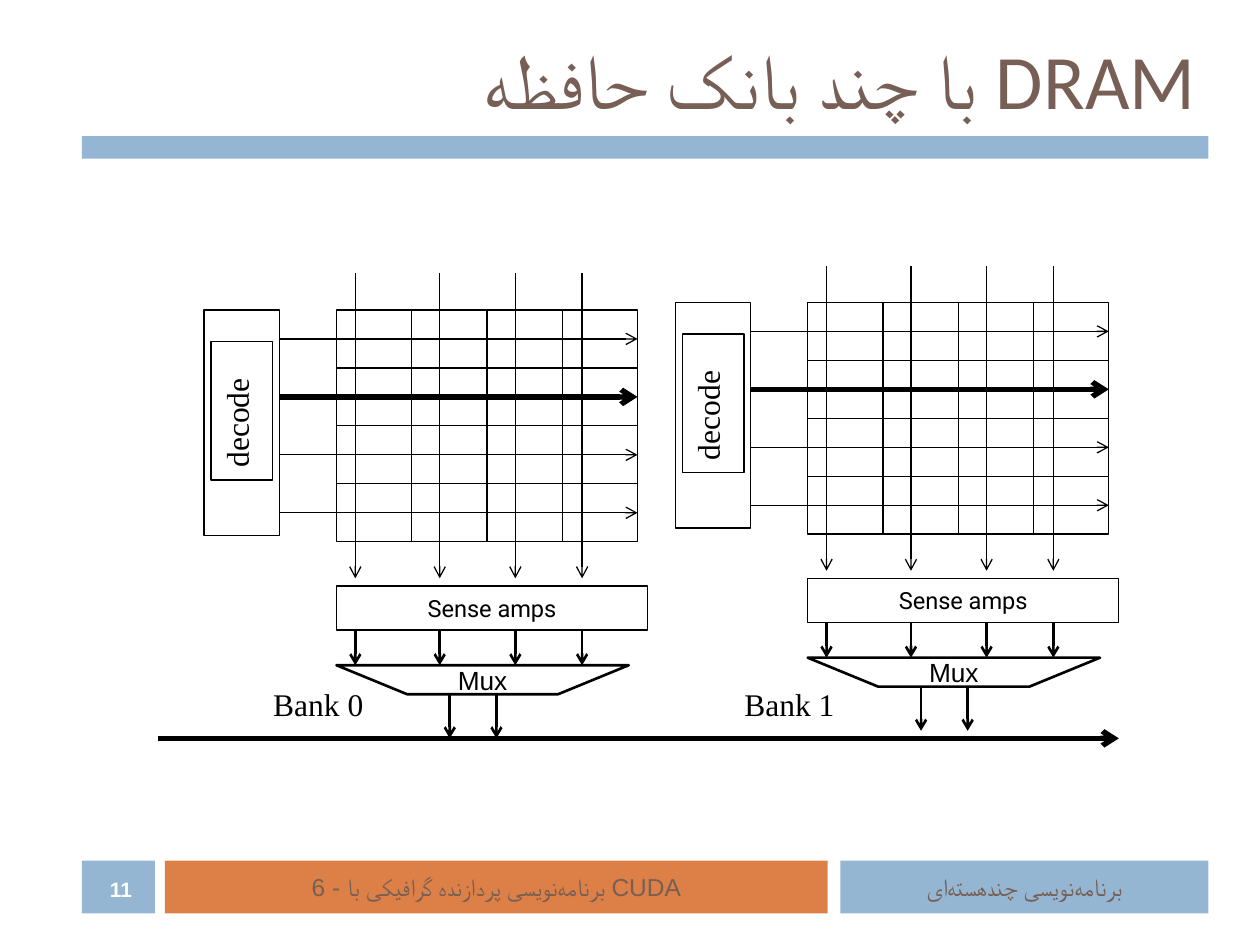
import pptx
import pptx.dml.color
import pptx.enum.shapes
import pptx.enum.text
import pptx.oxml
import pptx.oxml.ns
import pptx.util

Inches = pptx.util.Inches
Align = pptx.enum.text.PP_ALIGN
Anchor = pptx.enum.text.MSO_ANCHOR

BLACK, WHITE = "000000", "FFFFFF"
BLUE, ORANGE, BROWN = "94B6D2", "DD8047", "775F55"
NON_JOINER = chr(0x200C)
PROGRAMMING = NON_JOINER.join(["برنامه", "نویسی"])
MULTICORE = NON_JOINER.join(["چند", "هسته", "ای"])
ROWS, COLUMNS = 4, 4
SELECTED_ROW = 1
GRID_LEFT, GRID_TOP = 1.05, 0.29
GRID_WIDTH, ROW_HEIGHT = 2.39, 0.46
DECODER_WIDTH = 0.6
BIT_LINES = (1.2, 1.87, 2.47, 3.0)
OUTPUT_LINES = (1.95, 2.32)
SENSE_TOP, SENSE_HEIGHT = 2.48, 0.35
MUX_TOP, MUX_BOTTOM = 3.11, 3.34


def paint(color_format, color):
    color_format.rgb = pptx.dml.color.RGBColor.from_string(color)


def write(shape, text, size, font, color, align=Align.LEFT,
          anchor=Anchor.TOP, rtl=False, bold=False):
    frame = shape.text_frame
    frame.text = text
    frame.auto_size = pptx.enum.text.MSO_AUTO_SIZE.NONE
    frame.word_wrap = True
    frame.vertical_anchor = anchor
    if anchor == Anchor.MIDDLE:
        frame.margin_top = frame.margin_bottom = 0
    para = frame.paragraphs[0]
    para.alignment = align
    if rtl:
        para._p.get_or_add_pPr().set("rtl", "1")
    span = para.runs[0]
    span.font.size = pptx.util.Pt(size)
    span.font.name = font
    span.font.bold = bold
    paint(span.font.color, color)


def outline(shape, weight):
    shape.shadow.inherit = False
    shape.fill.background()
    paint(shape.line.color, BLACK)
    shape.line.width = pptx.util.Pt(weight)


def add_rectangle(page, left, top, width, height, fill=None):
    box = page.shapes.add_shape(
        pptx.enum.shapes.MSO_SHAPE.RECTANGLE,
        Inches(left), Inches(top), Inches(width), Inches(height))
    if fill:
        box.shadow.inherit = False
        box.fill.solid()
        paint(box.fill.fore_color, fill)
        box.line.fill.background()
    else:
        outline(box, 0.75)
    return box


def add_label(page, left, top, width, height, *text, **style):
    label = page.shapes.add_textbox(
        Inches(left), Inches(top), Inches(width), Inches(height))
    write(label, *text, **style)


def add_arrow(page, start_x, start_y, end_x, end_y, weight):
    arrow = page.shapes.add_connector(
        pptx.enum.shapes.MSO_CONNECTOR.STRAIGHT,
        Inches(start_x), Inches(start_y), Inches(end_x), Inches(end_y))
    paint(arrow.line.color, BLACK)
    arrow.line.width = pptx.util.Pt(weight)
    properties = arrow._element.spPr
    head = pptx.oxml.parse_xml(
        f'<a:tailEnd {pptx.oxml.ns.nsdecls("a")} type="arrow"/>')
    properties.find(pptx.oxml.ns.qn("a:ln")).append(head)
    properties.append(pptx.oxml.parse_xml(
        f'<a:effectLst {pptx.oxml.ns.nsdecls("a")}/>'))
    return arrow


def add_cell_array(page, left, top, width, height):
    cell_width, cell_height = width / COLUMNS, height / ROWS
    word_line_left = left - GRID_LEFT + DECODER_WIDTH
    for row in range(ROWS):
        cell_top = top + row * cell_height
        for column in range(COLUMNS):
            cell = add_rectangle(page, left + column * cell_width, cell_top,
                                 cell_width, cell_height)
        middle = cell_top + cell_height / 2
        word_line = add_arrow(page, word_line_left, middle, left + width, middle,
                              3 if row == SELECTED_ROW else 0.75)
        word_line.end_connect(cell, 3)


def add_decoder(page, left, top, width, height):
    add_rectangle(page, left, top, width, height)
    plate_width, plate_height = 1.1, 0.49
    plate = add_rectangle(page, left + (width - plate_width) / 2,
                          top + 0.8 - plate_height / 2, plate_width, plate_height)
    plate.rotation = 270
    write(plate, "decode", 18, "Times New Roman", BLACK)


def add_mux(page, left, top, width, height):
    slant = 0.56
    corners = [(left + slant, top + height), (left + width - slant, top + height),
               (left + width, top)]
    builder = page.shapes.build_freeform(Inches(left), Inches(top))
    builder.add_line_segments([(Inches(x), Inches(y)) for x, y in corners], close=True)
    mux = builder.convert_to_shape()
    outline(mux, 1.5)
    write(mux, "Mux", 15, "Arial", BLACK, Align.CENTER, Anchor.MIDDLE)


def add_bank(page, left, top, width, height):
    grid_left = left + GRID_LEFT
    add_cell_array(page, grid_left, top + GRID_TOP, GRID_WIDTH, ROWS * ROW_HEIGHT)
    add_decoder(page, left, top + GRID_TOP, DECODER_WIDTH, 1.79)
    sense = add_rectangle(page, grid_left, top + SENSE_TOP, width - GRID_LEFT, SENSE_HEIGHT)
    write(sense, "Sense amps", 13.5, "Roboto", BLACK, Align.CENTER, Anchor.MIDDLE)
    add_mux(page, grid_left, top + MUX_TOP, 2.32, MUX_BOTTOM - MUX_TOP)
    for offset in BIT_LINES:
        x = left + offset
        add_arrow(page, x, top, x, top + 2.42, 0.75)
        add_arrow(page, x, top + SENSE_TOP + SENSE_HEIGHT, x, top + MUX_TOP, 1.5)
    for offset in OUTPUT_LINES:
        x = left + offset
        add_arrow(page, x, top + MUX_BOTTOM, x, top + height, 1.5)


def add_header(page, left, top, width, height):
    title = page.shapes.title
    title.left, title.top = Inches(left), Inches(top)
    title.width, title.height = Inches(width), Inches(height)
    write(title, "DRAM با چند بانک حافظه", 44, "Calibri", BROWN,
          Align.RIGHT, Anchor.MIDDLE, rtl=True)
    add_rectangle(page, left - 0.02, top + 0.83, width + 0.02, 0.18, BLUE)


def add_footer(page, left, top, width, height):
    centred = {"align": Align.CENTER, "anchor": Anchor.MIDDLE}
    add_rectangle(page, left, top, 0.58, height, BLUE)
    add_label(page, left + 0.02, top + 0.09, 0.58, 0.27,
              "11", 11.9, "Arial", WHITE, bold=True, **centred)
    chapter = add_rectangle(page, left + 0.66, top, 5.26, height, ORANGE)
    write(chapter, f"6 - {PROGRAMMING} پردازنده گرافیکی با CUDA",
          14, "Arial", BROWN, **centred)
    course = add_rectangle(page, left + width - 2.92, top, 2.92, height, BLUE)
    write(course, f"{PROGRAMMING} {MULTICORE}", 14, "Arial", BROWN, rtl=True, **centred)


def add_memory(page, left, top, width, height):
    bus_y = top + height
    for number, (bank_left, bank_top) in enumerate([(1.62, 2.17), (5.36, 2.11)]):
        add_bank(page, bank_left, bank_top, 3.52, 3.69)
        add_label(page, bank_left + 0.45, bus_y - 0.47, 1.11, 0.5,
                  f"Bank {number}", 18, "Times New Roman", BLACK)
    add_arrow(page, left, bus_y, left + width, bus_y, 3)


def main():
    deck = pptx.Presentation()
    deck.slide_width, deck.slide_height = Inches(10), Inches(7.5)
    page = deck.slides.add_slide(deck.slide_layouts[5])
    add_header(page, 0.67, 0.25, 8.92, 0.75)
    add_memory(page, 1.25, 2.11, 7.63, 3.75)
    add_footer(page, 0.65, 6.83, 8.94, 0.42)
    deck.save("out.pptx")


if __name__ == "__main__":
    main()
